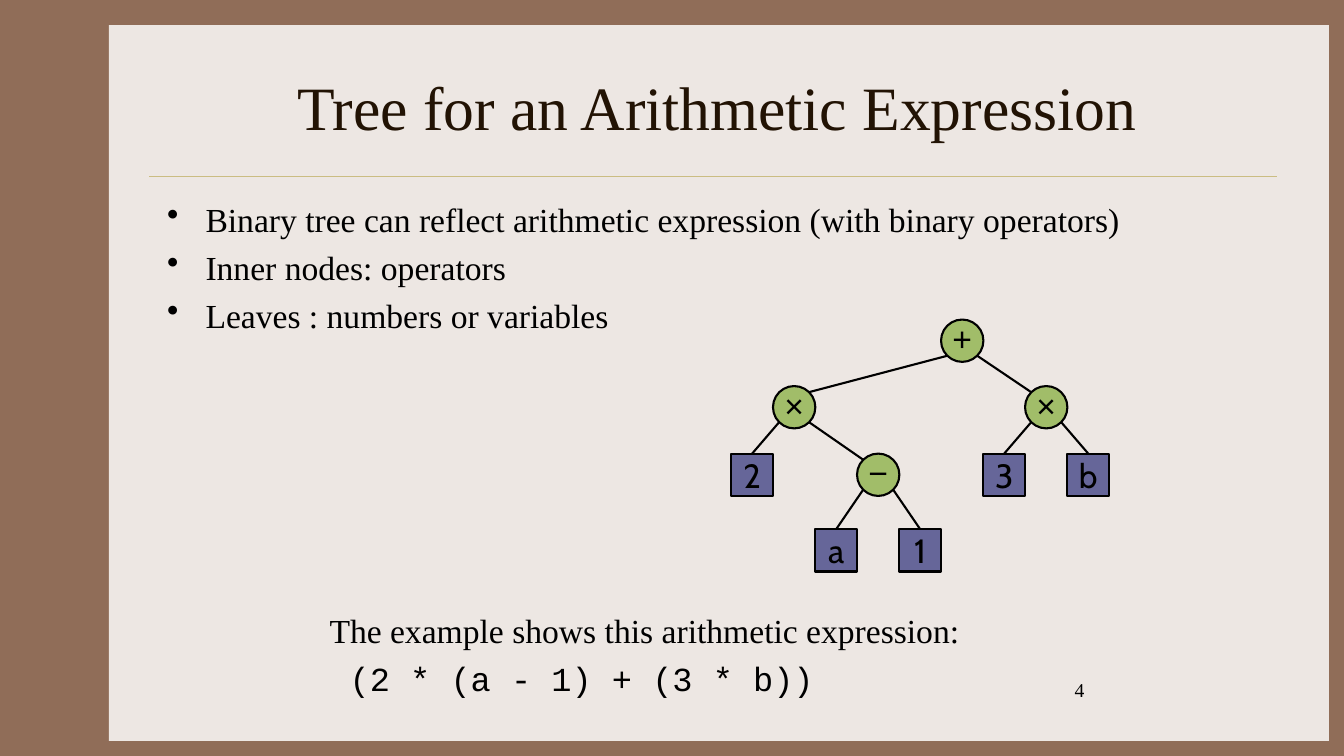
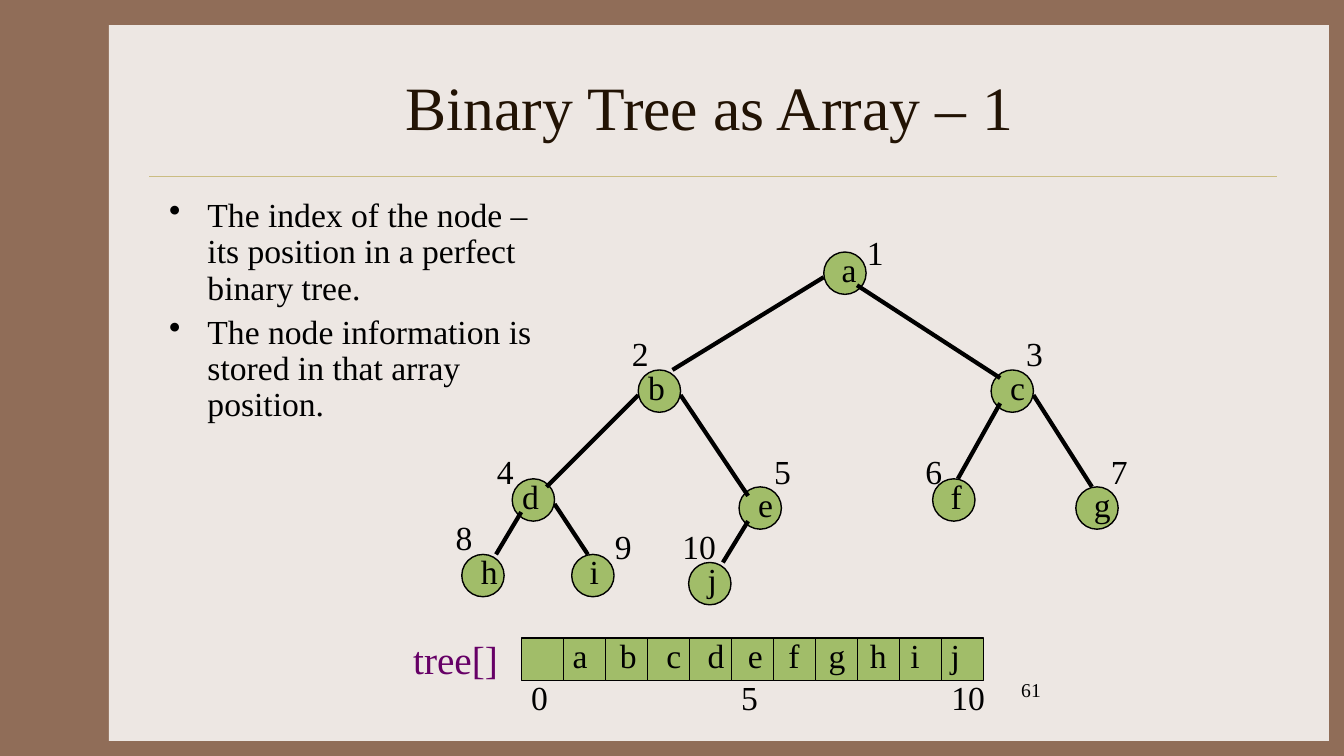
"""Builds two slides on binary trees: an expression tree and a tree stored as an array."""
import pptx
import pptx.util
import pptx.dml.color
import pptx.enum.shapes
import pptx.enum.text
import pptx.oxml.ns
import lxml.etree

Inches, Pt = pptx.util.Inches, pptx.util.Pt
RGB = pptx.dml.color.RGBColor.from_string
SHAPE = pptx.enum.shapes.MSO_SHAPE
ALIGN = pptx.enum.text.PP_ALIGN
ANCHOR = pptx.enum.text.MSO_ANCHOR
COLORS = {"frame": "906D58", "panel": "EDE7E3", "rule": "CBBD83", "title": "221304",
          "ink": "000000", "node": "A1BD69", "leaf": "666699", "array": "660066"}
SERIF = "Times New Roman"
SIZE = 0.42
STEP = 5 / 12


def add_box(s, kind, x, y, w, h, lines=(), size=24, font=SERIF, color="ink",
            fill=None, width=0, align=ALIGN.LEFT, anchor=ANCHOR.TOP):
    at = [Inches(v) for v in (x, y, w, h)]
    if kind is None:
        sp = s.shapes.add_textbox(*at)
    else:
        sp = s.shapes.add_shape(kind, *at)
        sp.shadow.inherit = False
        sp.fill.solid()
        sp.fill.fore_color.rgb = RGB(COLORS[fill])
        if width:
            sp.line.color.rgb = RGB(COLORS["ink"])
            sp.line.width = Pt(width)
        else:
            sp.line.fill.background()
    tf = sp.text_frame
    tf.word_wrap = kind is None
    tf.vertical_anchor = anchor
    for i, line in enumerate(lines):
        p = tf.add_paragraph() if i else tf.paragraphs[0]
        p.alignment = align
        r = p.add_run()
        r.text = line
        r.font.size = Pt(size)
        r.font.name = font
        r.font.color.rgb = RGB(COLORS[color])
    return sp


def add_line(s, x1, y1, x2, y2, width, color="ink"):
    c = s.shapes.add_connector(pptx.enum.shapes.MSO_CONNECTOR.STRAIGHT,
                               Inches(x1), Inches(y1), Inches(x2), Inches(y2))
    c.line.color.rgb = RGB(COLORS[color])
    c.line.width = Pt(width)
    lxml.etree.SubElement(c._element.spPr, pptx.oxml.ns.qn("a:effectLst"))
    return c


prs = pptx.Presentation()
prs.slide_width, prs.slide_height = Inches(13.33), Inches(7.5)
background = prs.slide_master.background.fill
background.solid()
background.fore_color.rgb = RGB(COLORS["frame"])

pages = [
    ("Tree for an Arithmetic Expression", "4", 10.56, (1.56, 1.92, 11.11, 4.5), 1.0,
     ["Binary tree can reflect arithmetic expression (with binary operators)",
      "Inner nodes: operators",
      "Leaves : numbers or variables"]),
    ("Binary Tree as Array – 1 ", "61", 10.03, (1.58, 1.92, 4, 2.58), 0.9,
     ["The index of the node – its position in a perfect binary tree.",
      "The node information is stored in that array position."]),
]
for title, number, number_x, body_at, spacing, bullets in pages:
    s = prs.slides.add_slide(prs.slide_layouts[6])
    add_box(s, SHAPE.RECTANGLE, 1.08, 0.25, 12.1, 7.1, fill="panel")
    add_line(s, 1.48, 1.75, 12.67, 1.75, 0.25, "rule")
    add_box(s, None, 1.56, 0.42, 11.11, 1.25, [title], size=44, color="title",
            align=ALIGN.CENTER, anchor=ANCHOR.MIDDLE)
    add_box(s, None, number_x, 6.68, 2.78, 0.5, [number], size=14)
    body = add_box(s, None, *body_at, bullets)
    for p in body.text_frame.paragraphs:
        p.line_spacing = spacing
        p.space_before = Pt(5.5)
        pPr = p._p.get_or_add_pPr()
        pPr.set("marL", str(Inches(0.38)))
        pPr.set("indent", str(-Inches(0.38)))
        lxml.etree.SubElement(pPr, pptx.oxml.ns.qn("a:buChar")).set("char", "•")

expression_slide, array_slide = prs.slides

s = expression_slide
level_y = [3.17, 3.83, 4.5, 5.25]
levels = [2, 1, 3, 2, 3, 0, 2, 1, 2]
parents = [1, 5, 3, 1, 3, None, 7, 5, 7]
nodes = []
for i, symbol in enumerate("2×a−1+3×b"):
    is_leaf = i not in parents
    sp = add_box(s, SHAPE.RECTANGLE if is_leaf else SHAPE.OVAL,
                 7.25 + i * STEP, level_y[levels[i]], SIZE, SIZE, [symbol],
                 font="Cabin" if is_leaf else "Arial", fill="leaf" if is_leaf else "node",
                 width=1.5, align=ALIGN.CENTER, anchor=ANCHOR.MIDDLE)
    tf = sp.text_frame
    tf.margin_left = tf.margin_right = tf.margin_top = 0
    tf.margin_bottom = 0 if is_leaf else Inches(0.05)
    nodes.append(sp)

for i, parent in enumerate(parents):
    if parent is None:
        continue
    side = 0.15 if i > parent else -0.15
    x1, x2 = [7.25 + n * STEP + SIZE / 2 for n in (parent, i)]
    y1, y2 = [level_y[levels[n]] + SIZE / 2 for n in (parent, i)]
    c = add_line(s, x1 + side, y1 + 0.15, x2 - side, y2 - 0.15, 1.5)
    if i not in parents:
        c.end_connect(nodes[i], 0)

example = add_box(s, None, 3.17, 6, 7.67, 0.99,
                  ["The example shows this arithmetic expression:", " (2 * (a - 1) + (3 * b))"])
for p in example.text_frame.paragraphs:
    p.space_before = Pt(5.5)
example.text_frame.paragraphs[1].runs[0].font.name = "Courier New"

s = array_slide
for i in range(11):
    add_box(s, SHAPE.RECTANGLE, 5.17 + i * STEP, 6.33, SIZE, SIZE, fill="node", width=1)
add_box(s, None, 4, 6.25, 1.25, 0.57, ["tree[]"], size=28, color="array")
for i in (0, 5, 10):
    add_box(s, None, 5.17 + i * STEP, 6.67, 0.67, 0.5, [str(i)])
cell_letter_x = [5.58, 6.05, 6.51, 6.92, 7.32, 7.72, 8.12, 8.53, 8.93, 9.33]
for letter, x in zip("abcdefghij", cell_letter_x):
    add_box(s, None, x, 6.25, SIZE, 0.5, [letter])

# letter, node, letter x, index, edge from the parent
tree = [
    ("a", (8.17, 2.5), 8.25, (8.5, 2.25), None),
    ("b", (6.33, 3.67), 6.33, (6.17, 3.25), (8.17, 2.75, 6.67, 3.67)),
    ("c", (9.83, 3.67), 9.92, (10.08, 3.25), (8.5, 2.83, 9.92, 3.75)),
    ("d", (5.08, 4.75), 5.08, (4.83, 4.42), (6.33, 3.92, 5.42, 4.83)),
    ("e", (7.33, 4.83), 7.42, (7.58, 4.42), (6.75, 3.92, 7.42, 4.92)),
    ("f", (9.25, 4.75), 9.33, (9.08, 4.42), (9.92, 4, 9.5, 4.75)),
    ("g", (10.67, 4.83), 10.75, (10.92, 4.42), (10.25, 3.92, 10.83, 4.83)),
    ("h", (4.58, 5.5), 4.67, (4.42, 5.08), (5.17, 5.08, 4.92, 5.5)),
    ("i", (5.67, 5.5), 5.75, (6, 5.17), (5.5, 5, 5.83, 5.5)),
    ("j", (6.83, 5.58), 6.92, (6.67, 5.17), (7.42, 5.17, 7.17, 5.58)),
]
for letter, node, letter_x, index_at, edge in tree:
    add_box(s, SHAPE.OVAL, *node, SIZE, SIZE, fill="node", width=1)
for i, (letter, node, letter_x, index_at, edge) in enumerate(tree, 1):
    if edge:
        add_line(s, *edge, 3)
    add_box(s, None, letter_x, node[1] - 0.08, SIZE, 0.5, [letter])
    add_box(s, None, *index_at, 0.67, 0.5, [str(i)])

prs.save("out.pptx")
